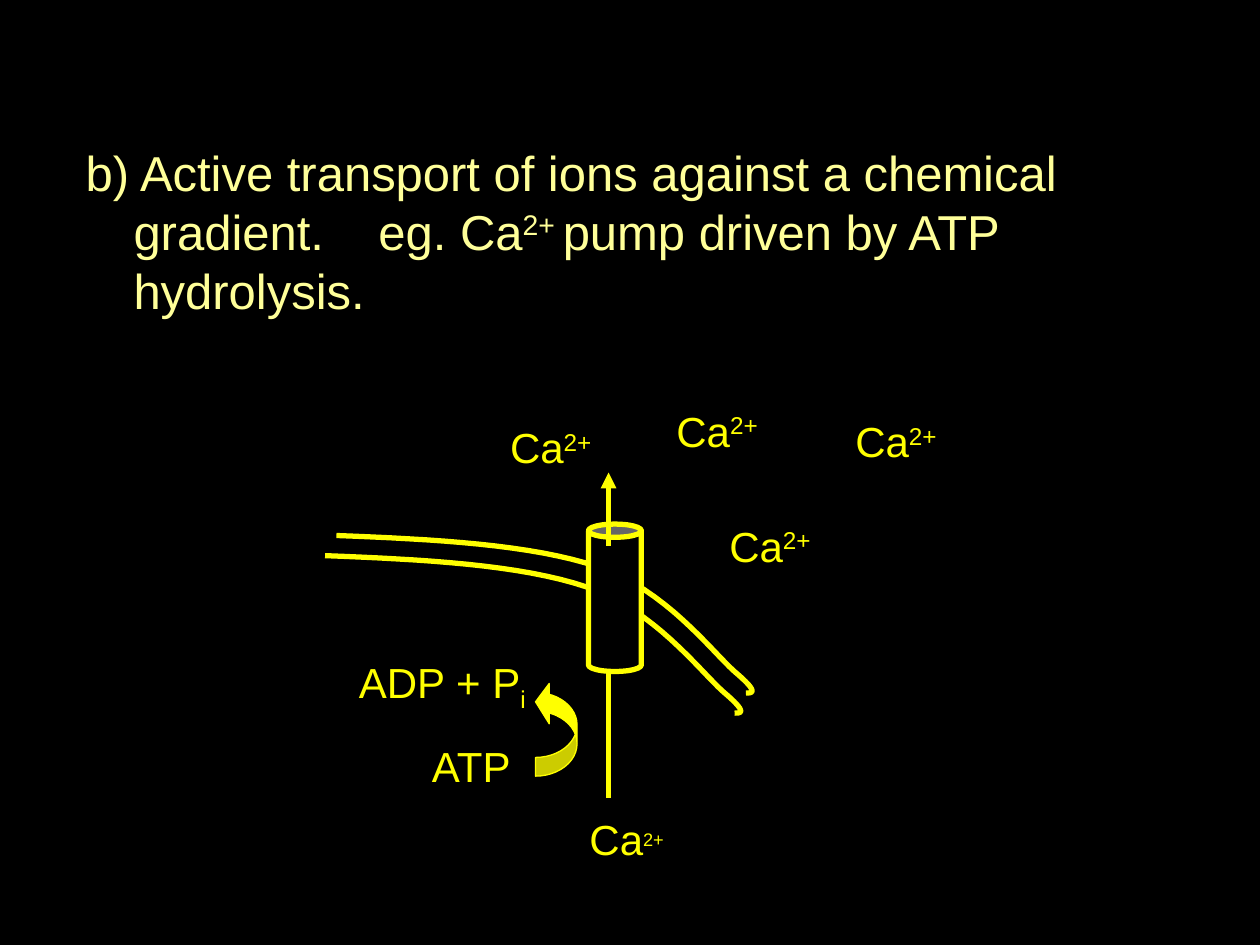
from dataclasses import dataclass

from lxml.etree import SubElement
from pptx import Presentation
from pptx.dml.color import RGBColor
from pptx.enum.shapes import MSO_CONNECTOR, MSO_SHAPE
from pptx.enum.text import MSO_ANCHOR, MSO_AUTO_SIZE
from pptx.oxml.ns import qn
from pptx.util import Inches, Pt


@dataclass(frozen=True)
class Theme:
    font: str = "Arial"
    background: RGBColor = RGBColor(0x00, 0x00, 0x00)
    heading: RGBColor = RGBColor(0xFF, 0xFF, 0x99)
    accent: RGBColor = RGBColor(0xFF, 0xFF, 0x00)
    heading_size: Pt = Pt(28)
    label_size: Pt = Pt(24)
    small_size: Pt = Pt(18)
    stroke: Pt = Pt(3)
    thin: Pt = Pt(0.75)


THEME = Theme()
SUPER, SUB = 30000, -25000
WIDE_SPACE = 2335


def add_run(p, text, size, color, baseline=0, spacing=0):
    r = p.add_run()
    r.text = text
    r.font.name = THEME.font
    r.font.size = size
    r.font.color.rgb = color
    if baseline:
        r.font._element.set("baseline", str(baseline))
    if spacing:
        r.font._element.set("spc", str(spacing))


def add_label(slide, left, top, width, height, runs):
    tf = slide.shapes.add_textbox(left, top, width, height).text_frame
    tf.word_wrap = True
    tf.auto_size = MSO_AUTO_SIZE.SHAPE_TO_FIT_TEXT
    for text, size, baseline in runs:
        add_run(tf.paragraphs[0], text, size, THEME.accent, baseline)


def add_line(slide, x, y1, y2, arrow=False):
    line = slide.shapes.add_connector(MSO_CONNECTOR.STRAIGHT, x, y1, x, y2)
    line.line.color.rgb = THEME.accent
    line.line.width = THEME.stroke
    if arrow:
        SubElement(line.line._get_or_add_ln(), qn("a:tailEnd"), type="triangle")
    SubElement(line._element.spPr, qn("a:effectLst"))


def format_shape(sp, fill, width):
    sp.shadow.inherit = False
    if fill is None:
        sp.fill.background()
    else:
        sp.fill.solid()
        sp.fill.fore_color.rgb = fill
    sp.line.color.rgb = THEME.accent
    sp.line.width = width


def bezier(p0, p1, p2, p3, steps=16):
    for i in range(1, steps + 1):
        t = i / steps
        weights = ((1 - t) ** 3, 3 * t * (1 - t) ** 2, 3 * t * t * (1 - t), t ** 3)
        yield tuple(
            sum(w * c for w, c in zip(weights, axis)) for axis in zip(p0, p1, p2, p3)
        )


def add_membrane(slide, left, top):
    knots = [
        (0, 0), (0.77, 0.03), (1.55, 0.07), (2.08, 0.25), (2.61, 0.43),
        (2.97, 0.91), (3.16, 1.08), (3.36, 1.25), (3.3, 1.25), (3.25, 1.25),
    ]
    points = [
        (left + Inches(x), top + Inches(y))
        for i in range(0, len(knots) - 1, 3)
        for x, y in bezier(*knots[i:i + 4])
    ]
    builder = slide.shapes.build_freeform(left, top)
    builder.add_line_segments(points, close=False)
    format_shape(builder.convert_to_shape(), None, THEME.stroke)


def add_heading(slide, left, top, width, height):
    body = slide.placeholders[1]
    body.left, body.top, body.width, body.height = left, top, width, height
    tf = body.text_frame
    tf.word_wrap = True
    tf.auto_size = MSO_AUTO_SIZE.NONE
    tf.vertical_anchor = MSO_ANCHOR.TOP
    p = tf.paragraphs[0]
    p.line_spacing = 1.0
    p.space_before = Pt(7)
    pPr = p._p.get_or_add_pPr()
    pPr.set("marL", str(Inches(0.38)))
    pPr.set("indent", str(-Inches(0.38)))
    SubElement(pPr, qn("a:buNone"))
    for text, baseline, spacing in [
        ("b) Active transport of ions against a chemical gradient.", 0, 0),
        (" ", 0, WIDE_SPACE),
        ("eg. Ca", 0, 0),
        ("2+ ", SUPER, 0),
        ("pump driven by ATP hydrolysis.", 0, 0),
    ]:
        add_run(p, text, THEME.heading_size, THEME.heading, baseline, spacing)


def add_pump(slide, left, top):
    def at(x, y):
        return left + Inches(x), top + Inches(y)

    for x, y in [(0.17, 1.25), (0.08, 1.41)]:
        add_membrane(slide, *at(x, y))

    can = slide.shapes.add_shape(
        MSO_SHAPE.CAN, *at(2.17, 1.16), Inches(0.42), Inches(1.17)
    )
    can.adjustments[0] = 0.25
    format_shape(can, THEME.background, THEME.stroke)

    axis = left + Inches(2.33)
    add_line(slide, axis, top + Inches(1.33), top + Inches(0.75), arrow=True)
    add_line(slide, axis, top + Inches(2.33), top + Inches(3.33))

    turn = slide.shapes.add_shape(
        MSO_SHAPE.CURVED_RIGHT_ARROW, *at(1.75, 2.41), Inches(0.33), Inches(0.75)
    )
    turn.rotation = 180
    for i, value in enumerate((0.45, 0.97, 0.33)):
        turn.adjustments[i] = value
    format_shape(turn, THEME.accent, THEME.thin)

    size = THEME.label_size
    add_label(slide, *at(0.83, 2.83), Inches(0.92), Inches(0.5), [("ATP", size, 0)])
    add_label(
        slide, *at(0.25, 2.16), Inches(2.42), Inches(0.56),
        [("ADP + P", size, 0), ("i", size, SUB)],
    )
    for x, y, charge_size in [
        (2.08, 3.41, THEME.small_size),
        (1.45, 0.3, size),
        (2.77, 0.17, size),
        (3.19, 1.08, size),
        (4.19, 0.25, size),
    ]:
        add_label(
            slide, *at(x, y), Inches(0.87), Inches(0.5),
            [("Ca", size, 0), ("2+", charge_size, SUPER)],
        )


def main():
    prs = Presentation()
    prs.slide_width, prs.slide_height = Inches(10), Inches(7.5)
    slide = prs.slides.add_slide(prs.slide_layouts[1])
    slide.background.fill.solid()
    slide.background.fill.fore_color.rgb = THEME.background
    title = slide.shapes.title._element
    title.getparent().remove(title)
    add_heading(slide, Inches(0.58), Inches(1.08), Inches(9), Inches(1.92))
    add_pump(slide, Inches(2.5), Inches(3))
    prs.save("out.pptx")


if __name__ == "__main__":
    main()
